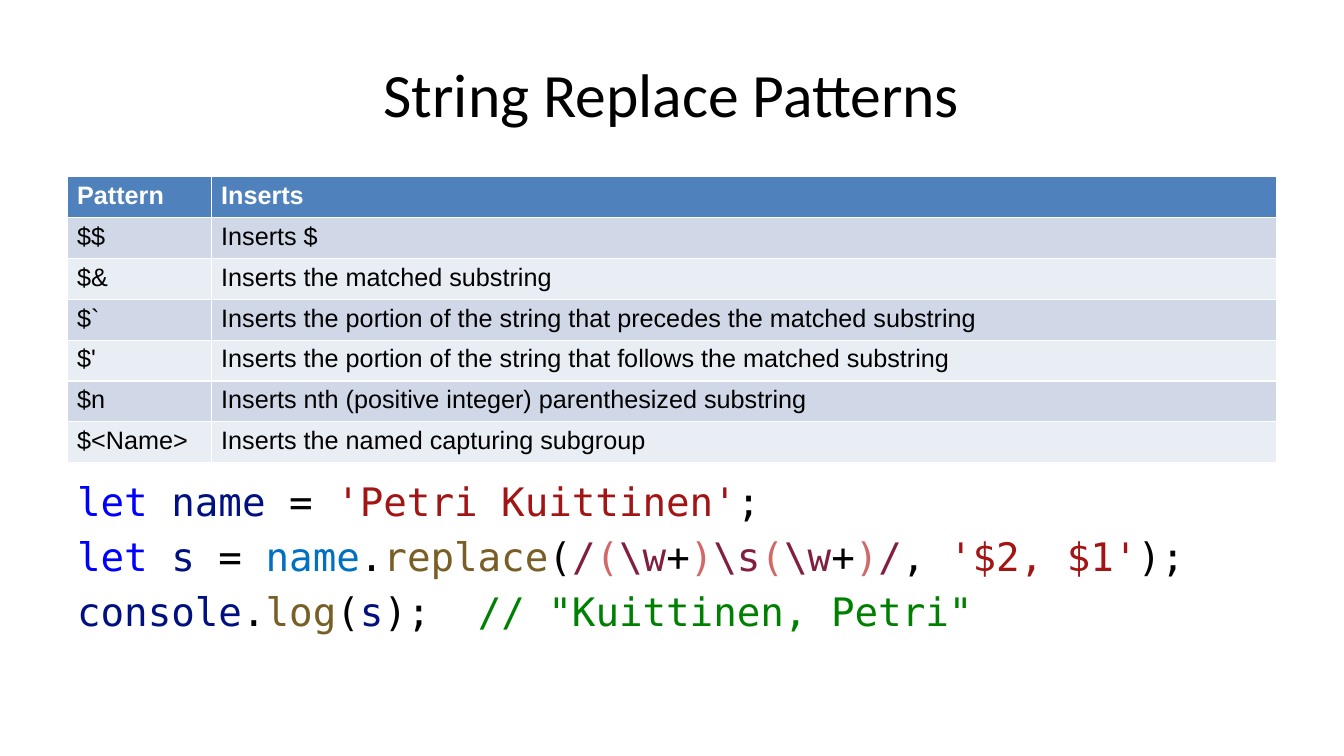
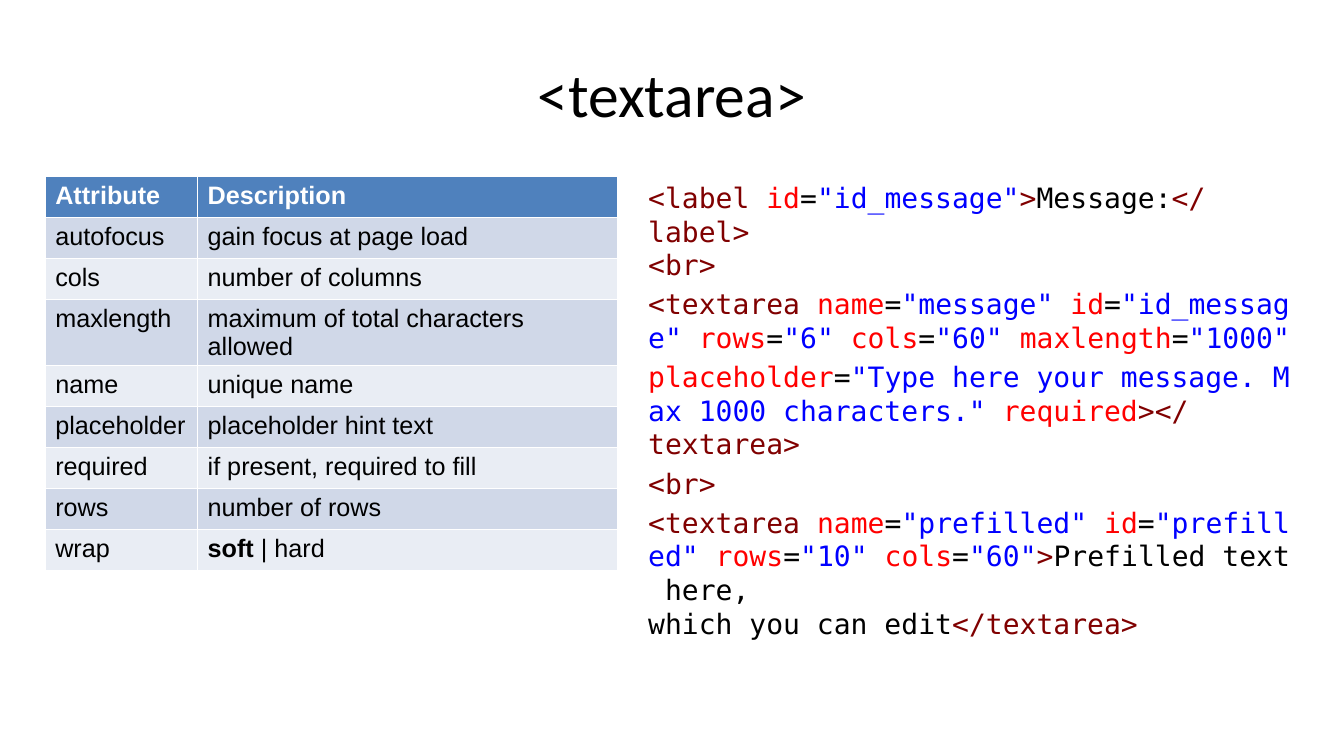
from dataclasses import dataclass, field

from lxml import etree
from pptx import Presentation
from pptx.dml.color import RGBColor
from pptx.enum.text import MSO_ANCHOR, MSO_AUTO_SIZE, PP_ALIGN
from pptx.oxml.ns import qn
from pptx.util import Cm, Pt

CENTER = PP_ALIGN.CENTER
MIDDLE = MSO_ANCHOR.MIDDLE
NO_AUTOFIT = MSO_AUTO_SIZE.NONE
TITLE_AND_CONTENT = 1
NBSP = chr(160)

# Token roles of the code samples
PLAIN, KEYWORD, NAME, CONST, CALL = "plain", "keyword", "name", "const", "call"
STRING, REGEX, GROUP, COMMENT = "string", "regex", "group", "comment"
TAG, ATTR, VALUE = "tag", "attr", "value"


@dataclass
class Theme:
    title_font: str = "Calibri"
    table_font: str = "Arial"
    code_font: str = "DejaVu Sans Mono"
    title_size: int = 44
    table_size: int = 18
    text: str = "000000"
    header_text: str = "FFFFFF"
    header_fill: str = "4F81BD"
    bands: tuple = ("D0D8E8", "E9EDF4")
    tokens: dict = field(default_factory=lambda: {
        PLAIN: "000000", KEYWORD: "0000FF", NAME: "001080", CONST: "0070C1",
        CALL: "795E26", STRING: "A31515", REGEX: "811F3F", GROUP: "D16969",
        COMMENT: "008000", TAG: "800000", ATTR: "FF0000", VALUE: "0000FF",
    })


def apply_format(target, values):
    for attribute, value in values.items():
        setattr(target, attribute, value)


class Deck:
    """Holds the style and the slide being filled."""

    def __init__(self, theme):
        self.theme = theme
        self.presentation = Presentation()
        apply_format(self.presentation,
                     {"slide_width": Cm(33.87), "slide_height": Cm(19.05)})
        self.slide = None

    def place(self, shape, left, top, width, height):
        apply_format(shape, {"left": Cm(left), "top": Cm(top),
                             "width": Cm(width), "height": Cm(height)})

    def run(self, paragraph, text, font, size, colour, bold=False):
        run = paragraph.add_run()
        run.text = text
        apply_format(run.font, {"name": font, "size": Pt(size), "bold": bold})
        run.font.color.rgb = RGBColor.from_string(colour)

    def new_slide(self, title):
        layout = self.presentation.slide_layouts[TITLE_AND_CONTENT]
        self.slide = self.presentation.slides.add_slide(layout)
        heading = self.slide.shapes.title
        self.place(heading, 1.69, 0.76, 30.48, 3.18)
        apply_format(heading.text_frame, {"vertical_anchor": MIDDLE,
                                          "auto_size": NO_AUTOFIT})
        paragraph = heading.text_frame.paragraphs[0]
        paragraph.alignment = CENTER
        self.run(paragraph, title, self.theme.title_font,
                 self.theme.title_size, self.theme.text)

    def table(self, left, top, widths, rows, row_height=1.03):
        theme = self.theme
        table = self.slide.shapes.add_table(
            len(rows), len(widths), Cm(left), Cm(top),
            Cm(sum(widths)), Cm(row_height * len(rows))).table
        for column, width in zip(table.columns, widths):
            column.width = Cm(width)
        for r, row in enumerate(rows):
            header = r == 0
            fill = theme.header_fill if header else theme.bands[(r - 1) % 2]
            colour = theme.header_text if header else theme.text
            for c, content in enumerate(row):
                cell = table.cell(r, c)
                cell.fill.solid()
                cell.fill.fore_color.rgb = RGBColor.from_string(fill)
                parts = [(content, header)] if isinstance(content, str) else content
                for text, bold in parts:
                    self.run(cell.text_frame.paragraphs[0], text,
                             theme.table_font, theme.table_size, colour, bold)

    def line_break(self, paragraph, size):
        paragraph.add_line_break()
        # The break needs its own size to keep the line height
        etree.SubElement(paragraph._p[-1], qn("a:rPr"), sz=str(size * 100))

    def code(self, left, top, width, height, size, lines):
        body = self.slide.placeholders[1]
        self.place(body, left, top, width, height)
        frame = body.text_frame
        apply_format(frame, {"word_wrap": True, "auto_size": NO_AUTOFIT})
        for number, tokens in enumerate(lines):
            paragraph = frame.add_paragraph() if number else frame.paragraphs[0]
            properties = paragraph._p.get_or_add_pPr()
            properties.set("marL", "0")
            properties.set("indent", "0")
            etree.SubElement(properties, qn("a:buNone"))
            if number == 0:
                paragraph.space_before = Pt(0)
            for role, text in tokens:
                for part, piece in enumerate(text.split("\n")):
                    if part:
                        self.line_break(paragraph, size)
                    self.run(paragraph, piece.replace(" ", NBSP),
                             self.theme.code_font, size, self.theme.tokens[role])

    def save(self):
        self.presentation.save("out.pptx")


def attributes(**values):
    """Tokens of HTML attributes, parted by spaces."""
    tokens = []
    for position, (name, value) in enumerate(values.items(), 1):
        gap = " " if position < len(values) else ""
        tokens += [(ATTR, name), (PLAIN, "="), (VALUE, f'"{value}"{gap}')]
    return tokens


# Content: string replace patterns
PATTERNS = [
    ("Pattern", "Inserts"),
    ("$$", "Inserts $"),
    ("$&", "Inserts the matched substring"),
    ("$`", "Inserts the portion of the string that precedes the matched substring"),
    ("$'", "Inserts the portion of the string that follows the matched substring"),
    ("$n", "Inserts nth (positive integer) parenthesized substring"),
    ("$<Name>", "Inserts the named capturing subgroup"),
]
WORD_GROUP = [(GROUP, "("), (REGEX, r"\w"), (PLAIN, "+"), (GROUP, ")")]
REPLACE_CODE = [
    [(KEYWORD, "let "), (NAME, "name"), (PLAIN, " = "),
     (STRING, "'Petri Kuittinen'"), (PLAIN, ";")],
    [(KEYWORD, "let "), (NAME, "s"), (PLAIN, " = "), (CONST, "name"),
     (PLAIN, "."), (CALL, "replace"), (PLAIN, "("), (REGEX, "/"),
     *WORD_GROUP, (REGEX, r"\s"), *WORD_GROUP, (REGEX, "/"),
     (PLAIN, ", "), (STRING, "'$2, $1'"), (PLAIN, ");")],
    [(NAME, "console"), (PLAIN, "."), (CALL, "log"), (PLAIN, "("),
     (NAME, "s"), (PLAIN, ");  "), (COMMENT, '// "Kuittinen, Petri"')],
]

# Content: textarea element
TEXTAREA_ATTRIBUTES = [
    ("Attribute", "Description"),
    ("autofocus", "gain focus at page load"),
    ("cols", "number of columns"),
    ("maxlength", "maximum of total characters allowed"),
    ("name", "unique name"),
    ("placeholder", "placeholder hint text"),
    ("required", "if present, required to fill"),
    ("rows", "number of rows"),
    ("wrap", [("soft", True), (" | hard", False)]),
]
TEXTAREA_CODE = [
    [(TAG, "<label "), *attributes(id="id_message"), (TAG, ">"),
     (PLAIN, "Message:"), (TAG, "</label>\n<br>")],
    [(TAG, "<textarea "),
     *attributes(name="message", id="id_message", rows=6, cols=60, maxlength=1000)],
    [*attributes(placeholder="Type here your message. Max 1000 characters."),
     (VALUE, " "), (ATTR, "required"), (TAG, "></textarea>")],
    [(TAG, "<br>")],
    [(TAG, "<textarea "),
     *attributes(name="prefilled", id="prefilled", rows=10, cols=60), (TAG, ">"),
     (PLAIN, "Prefilled text here,\nwhich you can edit"), (TAG, "</textarea>")],
]


def main():
    deck = Deck(Theme())

    # Slide 1
    deck.new_slide("String Replace Patterns")
    deck.table(1.69, 4.45, (3.63, 26.85), PATTERNS)
    deck.code(1.69, 11.91, 30.48, 5.08, 28, REPLACE_CODE)

    # Slide 2
    deck.new_slide("<textarea>")
    deck.table(1.14, 4.45, (3.84, 10.59), TEXTAREA_ATTRIBUTES)
    deck.code(16.08, 4.42, 17.04, 13.87, 20, TEXTAREA_CODE)

    deck.save()


if __name__ == "__main__":
    main()
